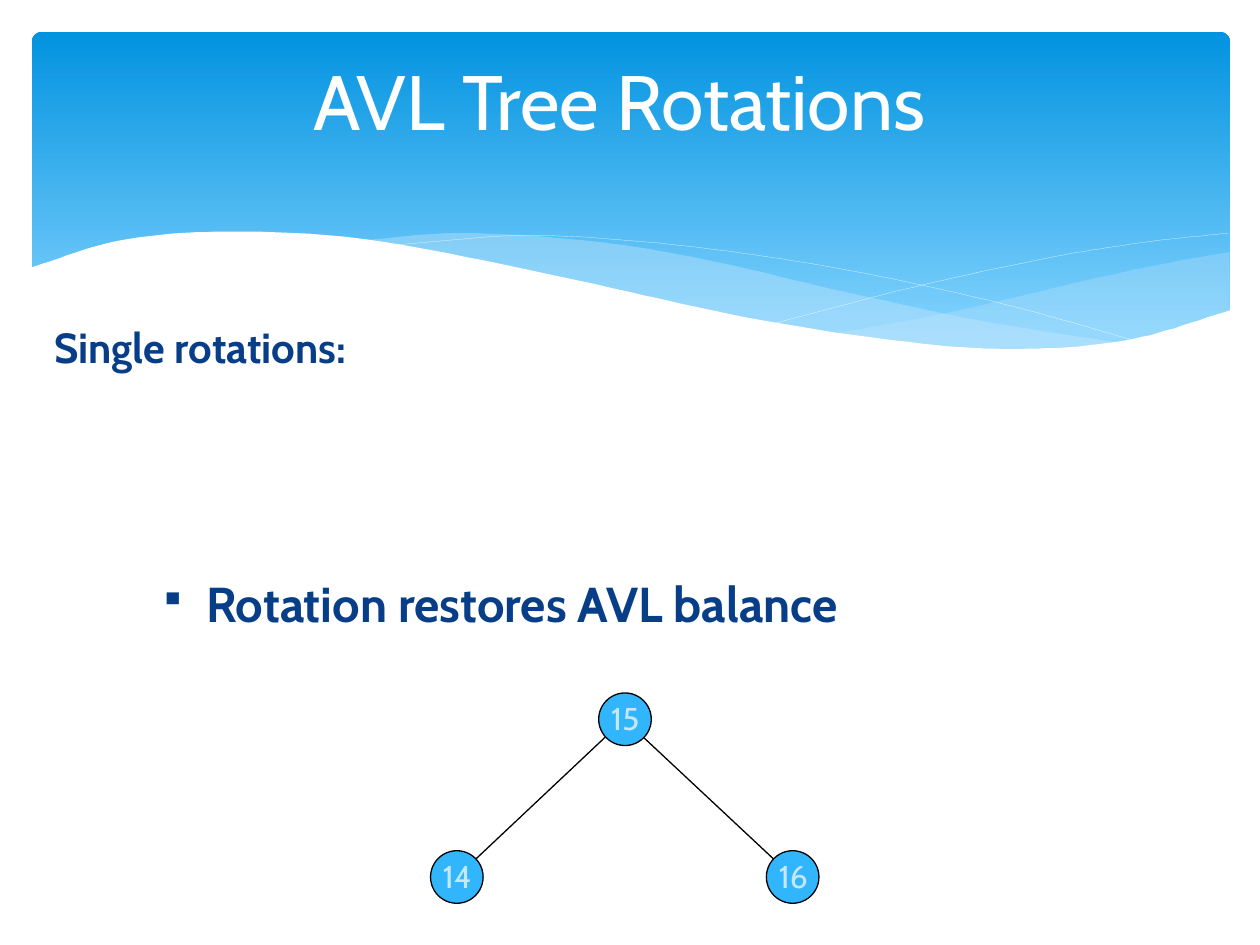
from lxml.etree import SubElement
from pptx import Presentation
from pptx.dml.color import RGBColor
from pptx.enum.shapes import MSO_CONNECTOR as Connector, MSO_SHAPE as Shape
from pptx.enum.text import MSO_ANCHOR as Anchor, PP_ALIGN as Align
from pptx.oxml.ns import qn
from pptx.util import Cm, Pt

rgb = RGBColor.from_string
WHITE, BLACK, NAVY, PALE, SKY = "FFFFFF", "000000", "073E87", "C6E7FC", "31B6FD"
UNITS = 100  # freeform units per centimetre
STEPS = 12  # short segments between two knots of a curve


def smooth_curve(knots):
    """Return points, in freeform units, on a smooth curve through knots given in cm."""
    last = len(knots) - 1
    slopes = []
    for i in range(last + 1):
        (x0, y0), (x1, y1) = knots[max(i - 1, 0)], knots[min(i + 1, last)]
        slopes.append((y1 - y0) / (x1 - x0))
    points = []
    for i in range(last):
        (x0, y0), (x1, y1) = knots[i], knots[i + 1]
        # Bezier handles lie a third of the way along each tangent
        third = (x1 - x0) / 3
        handle0, handle1 = y0 + slopes[i] * third, y1 - slopes[i + 1] * third
        for step in range(STEPS):
            t = step / STEPS
            s = 1 - t
            y = s**3 * y0 + 3 * s * s * t * handle0 + 3 * s * t * t * handle1 + t**3 * y1
            points.append(((x0 + t * (x1 - x0)) * UNITS, y * UNITS))
    return points + [(knots[-1][0] * UNITS, knots[-1][1] * UNITS)]


def add_text(text, left, top, width, height, size, color, bold=False, bullet=None):
    box = slide.shapes.add_textbox(Cm(left), Cm(top), Cm(width), Cm(height))
    box.text_frame.word_wrap = True
    para = box.text_frame.paragraphs[0]
    para.text = text
    if bullet:
        props = para._p.get_or_add_pPr()
        props.set("marL", str(Cm(0.95)))
        props.set("indent", str(Cm(-0.95)))
        SubElement(props, qn("a:buSzPct")).set("val", "75000")
        SubElement(props, qn("a:buChar")).set("char", bullet)
    para.font.name, para.font.size, para.font.bold = "Cabin", Pt(size), bold
    para.font.color.rgb = rgb(color)
    return box


deck = Presentation()
deck.slide_width, deck.slide_height = Cm(25.4), Cm(19.05)
slide = deck.slides.add_slide(deck.slide_layouts[6])

# Banner with a vertical gradient
banner = slide.shapes.add_shape(Shape.ROUNDED_RECTANGLE, Cm(0.64), Cm(0.64), Cm(24.16), Cm(6.86))
banner.adjustments[0] = 0.03
banner.shadow.inherit = False
banner.line.fill.background()
banner.fill.gradient()
banner.fill.gradient_angle = 270
for stop, color, position in zip(banner.fill.gradient_stops, ("0293E0", "83D3FE"), (0, 0.9)):
    stop.color.rgb, stop.position = rgb(color), position

# Curves through a few knots, in cm; a floor turns a crest into a filled wave
right_crest = [(16.79, 6.73), (19.13, 6.3), (21.87, 5.66), (23.39, 5.33), (24.79, 5.08)]
middle_crest = [(7.26, 4.85), (9.17, 4.7), (11.81, 4.85), (14.1, 5.21), (16.97, 5.87),
                (19.69, 6.45), (22.68, 6.93)]
falling_line = [(7.85, 4.95), (10.57, 4.75), (13.54, 4.93), (16.89, 5.41), (20.19, 6.12),
                (23.04, 6.91)]
rising_line = [(15.57, 6.53), (18.29, 5.82), (21.23, 5.18), (23.11, 4.88), (24.77, 4.7)]
white_crest = [(0.58, 5.41), (2.41, 4.85), (4.5, 4.67), (7.42, 4.83), (11.35, 5.59),
               (15.32, 6.45), (18.9, 6.96), (20.9, 7.03), (22.86, 6.83), (24.82, 6.25)]

for knots, floor, color, opacity in [
        (right_crest, 7.06, PALE, 29), (middle_crest, 7.06, PALE, 40),
        (falling_line, None, WHITE, 100), (rising_line, None, WHITE, 100),
        (white_crest, 8.36, WHITE, 100)]:
    points = smooth_curve(knots)
    if floor:
        points += [(points[-1][0], floor * UNITS), (points[0][0], floor * UNITS)]
    builder = slide.shapes.build_freeform(*points[0], scale=Cm(1) / UNITS)
    builder.add_line_segments(points[1:], close=floor is not None)
    wave = builder.convert_to_shape()
    wave.shadow.inherit = False
    if floor:
        wave.fill.solid()
        wave.fill.fore_color.rgb = rgb(color)
        wave.line.fill.background()
        color_node = wave._element.spPr.find(qn("a:solidFill"))[0]
        SubElement(color_node, qn("a:alpha")).set("val", str(opacity * 1000))
    else:
        wave.fill.background()
        wave.line.color.rgb = rgb(color)
        wave.line.width = Pt(0.1)

# Tree edges, drawn first so that the nodes cover their ends
for start_x, start_y, end_x, end_y in [(9.1, 17.78, 12.7, 14.39), (12.7, 14.61, 16.09, 17.78)]:
    edge = slide.shapes.add_connector(
        Connector.STRAIGHT, Cm(start_x), Cm(start_y), Cm(end_x), Cm(end_y))
    edge.line.color.rgb = rgb(BLACK)
    edge.line.width = Pt(0.75)
    SubElement(edge._element.spPr, qn("a:effectLst"))

# Title and statements
title = add_text("AVL Tree Rotations", 1.69, 0.42, 21.59, 3.18, 44, WHITE)
title.text_frame.vertical_anchor = Anchor.MIDDLE
title.text_frame.paragraphs[0].alignment = Align.CENTER
add_text("Single rotations:", 0.85, 6.35, 23.71, 1.69, 24, NAVY, bold=True)
add_text("Rotation restores AVL balance", 2.96, 11.43, 20.74, 1.69, 28, NAVY,
         bold=True, bullet="▪")

# Tree nodes with their keys
for key, left, top in [("14", 8.68, 17.15), ("15", 12.07, 13.97), ("16", 15.45, 17.15)]:
    node = slide.shapes.add_shape(Shape.OVAL, Cm(left), Cm(top), Cm(1.06), Cm(1.06))
    node.shadow.inherit = False
    node.fill.solid()
    node.fill.fore_color.rgb = rgb(SKY)
    node.line.color.rgb = rgb(BLACK)
    node.line.width = Pt(0.75)
    add_text(key, left, top, 1.27, 1.02, 18, PALE)

deck.save("out.pptx")
